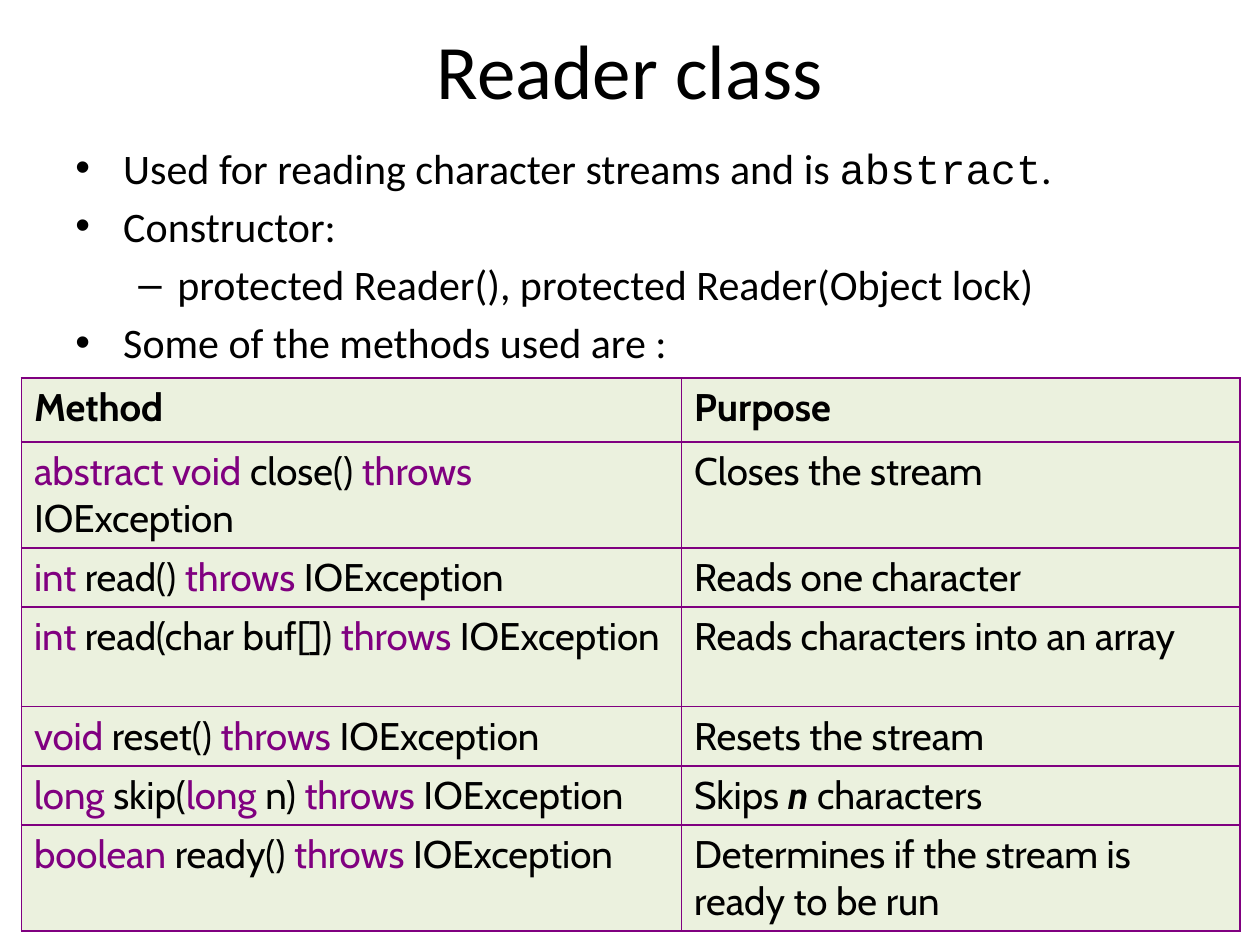
from lxml import etree
from pptx import Presentation
from pptx import util as u
from pptx.dml.color import RGBColor
from pptx.enum import text
from pptx.oxml.ns import qn

BLACK, PURPLE, PALE_GREEN = "000000", "800080", "EBF1DE"


def rgb(hex_color):
    return RGBColor.from_string(hex_color)


def add_text(paragraph, content, font="Calibri", size=24, color=BLACK,
             bold=False, italic=False):
    run = paragraph.add_run()
    run.text = content
    run.font.name = font
    run.font.size = u.Pt(size)
    run.font.color.rgb = rgb(color)
    run.font.bold = bold
    run.font.italic = italic


class SlideBuilder:
    cell_style = {"font": "Cabin", "size": 22}
    # Bullet character, text margin and hanging indent by level
    levels = [("•", 0.38, 0.38), ("–", 0.81, 0.31)]

    def __init__(self, slide):
        self.slide = slide

    def title(self, content, left, top, width, height):
        heading = self.slide.shapes.title
        heading.left, heading.top = u.Inches(left), u.Inches(top)
        heading.width, heading.height = u.Inches(width), u.Inches(height)
        frame = heading.text_frame
        frame.vertical_anchor = text.MSO_ANCHOR.MIDDLE
        frame.paragraphs[0].alignment = text.PP_ALIGN.CENTER
        add_text(frame.paragraphs[0], content, size=44)

    def bullets(self, items, left, top, width, height):
        box = self.slide.shapes.add_textbox(*map(u.Inches, (left, top, width, height)))
        frame = box.text_frame
        frame.word_wrap = True
        for index, (level, runs) in enumerate(items):
            paragraph = frame.add_paragraph() if index else frame.paragraphs[0]
            paragraph.level = level
            if index:
                paragraph.space_before = u.Pt(4.4)
            mark, margin, hanging = self.levels[level]
            props = paragraph._p.get_or_add_pPr()
            props.set("marL", str(u.Inches(margin)))
            props.set("indent", str(-u.Inches(hanging)))
            etree.SubElement(props, qn("a:buFont"), typeface="Arial")
            etree.SubElement(props, qn("a:buChar"), char=mark)
            for content, font in runs:
                add_text(paragraph, content, font=font)

    def cell(self, cell, runs):
        cell.fill.solid()
        cell.fill.fore_color.rgb = rgb(PALE_GREEN)
        for content, style in runs:
            add_text(cell.text_frame.paragraphs[0], content,
                     **self.cell_style, **style)
        # Borders come before the fill in the cell properties
        props = cell._tc.get_or_add_tcPr()
        for position, side in enumerate(("lnL", "lnR", "lnT", "lnB")):
            line = etree.Element(qn(f"a:{side}"), w=str(u.Pt(1)))
            fill = etree.SubElement(line, qn("a:solidFill"))
            etree.SubElement(fill, qn("a:srgbClr"), val=PURPLE)
            props.insert(position, line)

    def table(self, rows, left, top, widths, heights):
        frame = self.slide.shapes.add_table(
            len(rows), len(widths), u.Inches(left), u.Inches(top),
            u.Inches(sum(widths)), u.Inches(sum(heights)))
        table = frame.table
        table.first_row = table.horz_banding = False
        for column, width in zip(table.columns, widths):
            column.width = u.Inches(width)
        for row, height, contents in zip(table.rows, heights, rows):
            row.height = u.Inches(height)
            for cell, runs in zip(row.cells, contents):
                self.cell(cell, runs)


def signature(*parts):
    """Alternate Java keywords in purple with plain code in black."""
    return [(part, {"color": BLACK if index % 2 else PURPLE})
            for index, part in enumerate(parts)]


def plain(content, **style):
    return [(content, style)]


def main():
    deck = Presentation()
    deck.slide_width, deck.slide_height = u.Inches(10), u.Inches(7.5)
    builder = SlideBuilder(deck.slides.add_slide(deck.slide_layouts[5]))

    # Introduction
    builder.bullets([
        (0, [("Used for reading character streams and is ", "Calibri"),
             ("abstract", "Courier New"), (".", "Calibri")]),
        (0, [("Constructor:", "Calibri")]),
        (1, [("protected Reader(), protected Reader(Object lock)", "Calibri")]),
        (0, [("Some of the methods used are :", "Calibri")]),
    ], 0.5, 1.08, 9.13, 1.5)

    builder.title("Reader class", 0.5, -0.08, 9, 1.25)

    # Methods and their purposes
    throws = ("throws", " IOException")
    methods = [
        (plain("Method", bold=True), plain("Purpose", bold=True)),
        (signature("abstract void", " close() ", *throws),
         plain("Closes the stream")),
        (signature("int", " read() ", *throws), plain("Reads one character")),
        (signature("int", " read(char buf[]) ", *throws),
         plain("Reads characters into an array")),
        (signature("void", " reset() ", *throws), plain("Resets the stream")),
        (signature("long", " skip(", "long", " n) ", *throws),
         [("Skips ", {}), ("n", {"bold": True, "italic": True}),
          (" characters", {})]),
        (signature("boolean", " ready() ", *throws),
         plain("Determines if the stream is ready to be run")),
    ]
    one_line, two_lines = 0.47, 0.84
    builder.table(methods, 0.17, 3, [5.24, 4.43],
                  [0.51, two_lines, one_line, 0.79, one_line, one_line, two_lines])

    deck.save("out.pptx")


if __name__ == "__main__":
    main()
